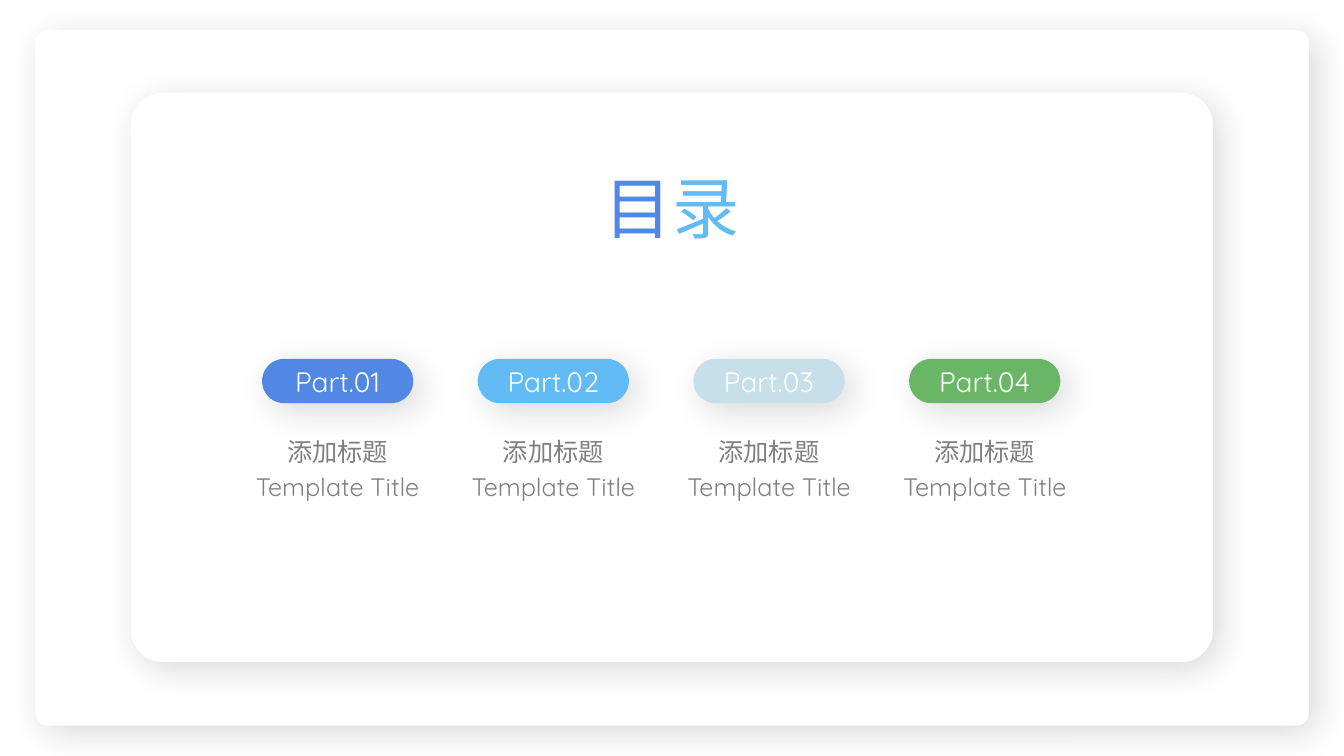
from dataclasses import dataclass

from lxml import etree
from pptx import Presentation
from pptx.dml.color import RGBColor
from pptx.enum.shapes import MSO_SHAPE
from pptx.enum.text import MSO_ANCHOR, MSO_AUTO_SIZE, PP_ALIGN
from pptx.oxml.ns import qn
from pptx.shapes.autoshape import Shape
from pptx.slide import Slide
from pptx.util import Inches, Pt

ROUNDED = MSO_SHAPE.ROUNDED_RECTANGLE
CENTER = PP_ALIGN.CENTER
TOP, MIDDLE = MSO_ANCHOR.TOP, MSO_ANCHOR.MIDDLE
NO_AUTOFIT = MSO_AUTO_SIZE.NONE

SLIDE_W, SLIDE_H = Inches(13.33), Inches(7.5)
WHITE = RGBColor(0xFF, 0xFF, 0xFF)
BLUE = RGBColor(0x50, 0x88, 0xE3)
SKY = RGBColor(0x62, 0xBB, 0xF5)
PALE = RGBColor(0xC7, 0xDF, 0xE8)
GREEN = RGBColor(0x69, 0xB7, 0x66)
GRAY = RGBColor(0x80, 0x80, 0x80)
LATIN_FONT = "Quicksand"
CJK_FONT = "Noto Sans CJK SC"

FIRST_CENTER = 25.12
COLUMN_PITCH = 16.05


@dataclass(frozen=True)
class Box:
    """Position and size as percentages of the slide."""
    left: float
    top: float
    width: float
    height: float

    def emu(self) -> tuple[int, int, int, int]:
        return (int(SLIDE_W * self.left / 100), int(SLIDE_H * self.top / 100),
                int(SLIDE_W * self.width / 100), int(SLIDE_H * self.height / 100))


@dataclass(frozen=True)
class Card:
    box: Box
    radius: float
    color: RGBColor


@dataclass(frozen=True)
class Part:
    name: str
    color: RGBColor
    title: str = "添加标题"
    subtitle: str = "Template Title"


FRAME = Card(Box(2.63, 4, 94.75, 92), 0.018, WHITE)
PANEL = Card(Box(9.75, 12.27, 80.5, 75.33), 0.056, WHITE)
TITLE_BOX = Box(44.19, 21.33, 11.63, 12.13)
TITLE_RUNS = [("目", BLUE), ("录", SKY)]
PARTS = [Part("Part.01", BLUE), Part("Part.02", SKY),
         Part("Part.03", PALE), Part("Part.04", GREEN)]


def centered_box(center: float, top: float, width: float, height: float) -> Box:
    return Box(center - width / 2, top, width, height)


def add_soft_shadow(sp: Shape) -> None:
    sp.shadow.inherit = False
    effects = sp._element.spPr.find(qn("a:effectLst"))
    shadow = etree.SubElement(effects, qn("a:outerShdw"), blurRad=str(Pt(25)),
                              dist=str(Pt(8)), dir=str(45 * 60000),
                              algn="tl", rotWithShape="0")
    color = etree.SubElement(shadow, qn("a:srgbClr"), val="000000")
    etree.SubElement(color, qn("a:alpha"), val="15000")


def add_card(s: Slide, card: Card) -> Shape:
    sp = s.shapes.add_shape(ROUNDED, *card.box.emu())
    sp.adjustments[0] = card.radius
    sp.fill.solid()
    sp.fill.fore_color.rgb = card.color
    sp.line.fill.background()
    add_soft_shadow(sp)
    return sp


def write_text(sp: Shape, text: str, size: int, color: RGBColor,
               anchor: MSO_ANCHOR, wrap: bool) -> None:
    tf = sp.text_frame
    tf.word_wrap = wrap
    tf.vertical_anchor = anchor
    p = tf.paragraphs[0]
    p.text = text
    p.alignment = CENTER
    p.font.size = Pt(size)
    p.font.name = LATIN_FONT
    p.font.color.rgb = color


def add_title(s: Slide) -> None:
    title = s.shapes.title
    title.left, title.top, title.width, title.height = TITLE_BOX.emu()
    s.shapes._spTree.append(title._element)
    tf = title.text_frame
    tf.word_wrap = False
    tf.auto_size = NO_AUTOFIT
    tf.vertical_anchor = TOP
    p = tf.paragraphs[0]
    p.alignment = CENTER
    p.font.size = Pt(48)
    for text, color in TITLE_RUNS:
        r = p.add_run()
        r.text = text
        r.font.size = Pt(48)
        r.font.color.rgb = color
        r.font.name = CJK_FONT
        etree.SubElement(r._r.get_or_add_rPr(), qn("a:ea"), typeface=CJK_FONT)


def add_part(s: Slide, part: Part, center: float) -> None:
    pill = add_card(s, Card(centered_box(center, 47.47, 11.25, 5.87), 0.5, part.color))
    write_text(pill, part.name, 20, WHITE, MIDDLE, True)
    for text, top, width in [(part.title, 57.07, 9.08), (part.subtitle, 61.73, 14.1)]:
        label = s.shapes.add_textbox(*centered_box(center, top, width, 5.33).emu())
        write_text(label, text, 18, GRAY, TOP, False)


def main() -> None:
    prs = Presentation()
    prs.slide_width, prs.slide_height = SLIDE_W, SLIDE_H
    s = prs.slides.add_slide(prs.slide_layouts[5])
    for card in (FRAME, PANEL):
        add_card(s, card)
    add_title(s)
    for i, part in enumerate(PARTS):
        add_part(s, part, FIRST_CENTER + i * COLUMN_PITCH)
    prs.save("out.pptx")


if __name__ == "__main__":
    main()
